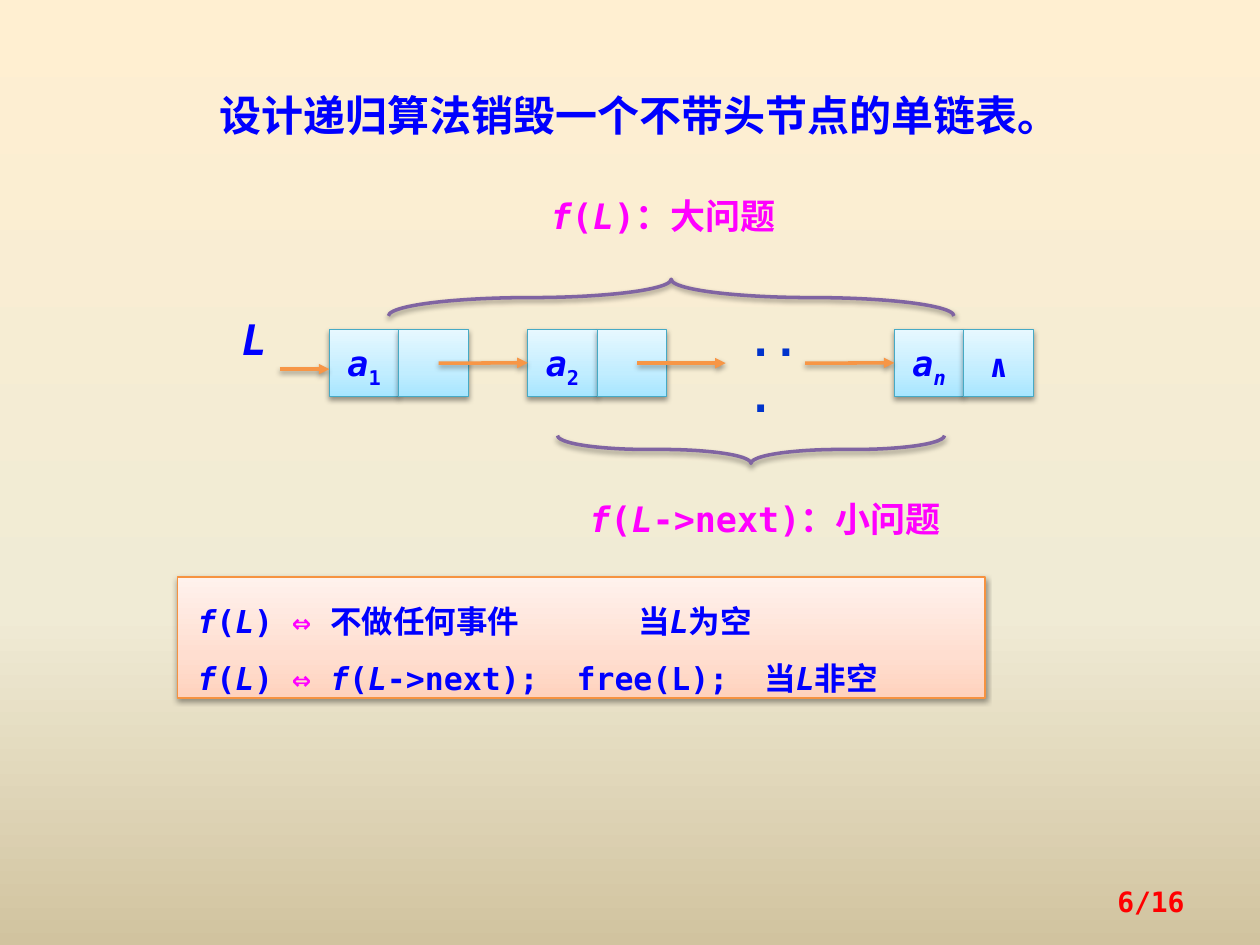
"""Build the slide on destroying a linked list by recursion."""
from lxml import etree
from pptx import Presentation
from pptx import util as u
from pptx.dml.color import RGBColor
from pptx.enum import shapes, text
from pptx.oxml import ns

COLORS = {
    "blue": "0000FF", "dots": "0033CC", "pink": "FF00FF", "red": "FF0000",
    "arrow": "F79646", "brace": "8064A2", "cell_line": "46AAC5",
    "box_line": "F69240", "shadow": "000000",
}
GRADIENTS = {
    "background": [(0, "FFEFD1"), (65, "F0EBD5"), (100, "D1C39F")],
    "cell": [(0, "A7E6FF"), (35, "C1EDFF"), (100, "E7F8FF")],
    "box": [(0, "FFD2BD"), (35, "FFDED0"), (100, "FFF2ED")],
}
CELL_WIDTH, CELL_HEIGHT, CELL_TOP = 1.4, 1.35, 6.64
ARROW_Y = 7.32
CALL = [("f", "i"), ("(", ""), ("L", "i")]
RULE = CALL + [(") ", ""), ("⇔ ", "p")]


def add_xml(parent, tag, **attributes):
    """Append a drawing element and return it."""
    return etree.SubElement(parent, ns.qn(tag), attributes)


class SlideBuilder:
    """Holds the style and the current slide."""

    font = "DejaVu Sans Mono"

    def __init__(self, slide):
        """Keep the slide and paint its background."""
        self.slide = slide
        self.gradient(slide.background.fill, slide.element, "background", 90)

    def color(self, name):
        """Return a named colour."""
        return RGBColor.from_string(COLORS[name])

    def gradient(self, fill, element, name, angle):
        """Give a fill the stops of a named gradient."""
        fill.gradient()
        gradient = next(element.iter(ns.qn("a:gradFill")))
        stops = gradient.find(ns.qn("a:gsLst"))
        for stop in list(stops):
            stops.remove(stop)
        for position, value in GRADIENTS[name]:
            stop = add_xml(stops, "a:gs", pos=str(position * 1000))
            add_xml(stop, "a:srgbClr", val=value)
        gradient.find(ns.qn("a:lin")).set("ang", str(angle * 60000))

    def shadow(self, effects):
        """Add the soft shadow to an effect list."""
        outer = add_xml(effects, "a:outerShdw", blurRad=str(u.Pt(3.1)), dist=str(u.Pt(1.6)),
                        dir="5400000", rotWithShape="0")
        color = add_xml(outer, "a:srgbClr", val=COLORS["shadow"])
        add_xml(color, "a:alpha", val="38000")

    def shape(self, kind, place, line, width):
        """Add a preset shape with a line and the soft shadow."""
        shape = self.slide.shapes.add_shape(kind, *map(u.Cm, place))
        shape.line.color.rgb = self.color(line)
        shape.line.width = u.Pt(width)
        shape.shadow.inherit = False
        self.shadow(next(shape.element.iter(ns.qn("a:effectLst"))))
        return shape

    def panel(self, place, name):
        """Add a rectangle with a gradient fill."""
        panel = self.shape(shapes.MSO_SHAPE.RECTANGLE, place, name + "_line", 0.75)
        self.gradient(panel.fill, panel.element, name, 270)
        return panel

    def brace(self, place, rotation, curve):
        """Add a turned brace."""
        brace = self.shape(shapes.MSO_SHAPE.LEFT_BRACE, place, "brace", 2)
        brace.fill.background()
        brace.rotation = rotation
        brace.adjustments[0] = curve

    def add_runs(self, paragraph, runs, size, color="blue", spacing=1.1):
        """Fill a paragraph; marks: i italic, s subscript, p pink."""
        paragraph.line_spacing = spacing
        for words, marks in runs:
            run = paragraph.add_run()
            run.text = words
            run.font.name = self.font
            run.font.size = u.Pt(size)
            run.font.bold = True
            run.font.italic = "i" in marks
            run.font.color.rgb = self.color("pink" if "p" in marks else color)
            if "s" in marks:
                run.font._element.set("baseline", "-25000")

    def label(self, place, runs, size, color="blue", spacing=1.1):
        """Add a wrapping text box and return it."""
        label = self.slide.shapes.add_textbox(*map(u.Cm, place))
        frame = label.text_frame
        frame.word_wrap = True
        frame.auto_size = text.MSO_AUTO_SIZE.SHAPE_TO_FIT_TEXT
        self.add_runs(frame.paragraphs[0], runs, size, color, spacing)
        return label

    def node(self, left, data, link=()):
        """Add a list node of two cells and return the data cell."""
        cells = []
        for column, (runs, size) in enumerate(((data, 20), (link, 18))):
            place = (left + column * CELL_WIDTH, CELL_TOP, CELL_WIDTH, CELL_HEIGHT)
            cell = self.panel(place, "cell")
            frame = cell.text_frame
            frame.word_wrap = False
            frame.vertical_anchor = text.MSO_ANCHOR.MIDDLE
            frame.paragraphs[0].alignment = text.PP_ALIGN.CENTER
            self.add_runs(frame.paragraphs[0], runs, size)
            cells.append(cell)
        return cells[0]

    def arrow(self, start, end, y, target=None):
        """Add a level arrow, joined to the left side of a target if given."""
        arrow = self.slide.shapes.add_connector(
            shapes.MSO_CONNECTOR.STRAIGHT, *map(u.Cm, (start, y, end, y)))
        if target is not None:
            arrow.end_connect(target, 1)
        arrow.line.color.rgb = self.color("arrow")
        arrow.line.width = u.Pt(2)
        properties = arrow.element.spPr
        add_xml(properties.find(ns.qn("a:ln")), "a:tailEnd", type="triangle")
        self.shadow(add_xml(properties, "a:effectLst"))

    def rules(self, place, lines):
        """Add the box with the recursive rules."""
        frame = self.panel(place, "box").text_frame
        frame.word_wrap = True
        frame.auto_size = text.MSO_AUTO_SIZE.SHAPE_TO_FIT_TEXT
        frame.vertical_anchor = text.MSO_ANCHOR.TOP
        frame.margin_left = u.Cm(0.4)
        for index, runs in enumerate(lines):
            paragraph = frame.add_paragraph() if index else frame.paragraphs[0]
            paragraph.alignment = text.PP_ALIGN.LEFT
            self.add_runs(paragraph, runs, 18, spacing=1.5)


def main():
    """Create and save the presentation."""
    presentation = Presentation()
    presentation.slide_width, presentation.slide_height = u.Cm(25.4), u.Cm(19.05)
    builder = SlideBuilder(presentation.slides.add_slide(presentation.slide_layouts[6]))

    builder.label((4.17, 1.57, 17.07, 1.4), [("设计递归算法销毁一个不带头节点的单链表。", "")], 24)

    builder.node(6.64, [("a", "i"), ("1", "s")])
    second = builder.node(10.64, [("a", "i"), ("2", "s")])
    last = builder.node(18.03, [("a", "i"), ("n", "is")], [("∧", "")])
    builder.arrow(8.84, 10.64, ARROW_Y, second)
    builder.arrow(12.85, 14.63, ARROW_Y)
    builder.arrow(16.23, 18.03, ARROW_Y, last)
    builder.arrow(5.64, 6.64, 7.44)
    builder.label((14.83, 6.12, 2.01, 1.4), [("...", "")], 24, "dots")
    builder.label((4.62, 6.1, 1.4, 1.4), [("L", "i")], 24)

    builder.brace((13.16, 0.3, 0.74, 11.4), 90, 4.68)
    builder.label((10.85, 3.71, 5.79, 1.19), CALL + [(")：大问题", "")], 20, "pink")
    builder.brace((14.86, 5.16, 0.56, 7.8), 270, 3.2)
    builder.label((11.63, 9.83, 7.8, 1.19), CALL + [("->next)：小问题", "")], 20, "pink")

    builder.rules((3.58, 11.63, 16.28, 2.44), [
        RULE + [("不做任何事件\t\t当", ""), ("L", "i"), ("为空", "")],
        RULE + CALL + [("->next);  free(L);\t当", ""), ("L", "i"), ("非空", "")],
    ])

    page = builder.label((18.21, 17.65, 5.92, 1.02), [("6/16", "")], 16, "red", 1.0)
    page.text_frame.auto_size = text.MSO_AUTO_SIZE.NONE
    page.text_frame.vertical_anchor = text.MSO_ANCHOR.MIDDLE
    page.text_frame.paragraphs[0].alignment = text.PP_ALIGN.RIGHT
    presentation.save("out.pptx")


if __name__ == "__main__":
    main()
